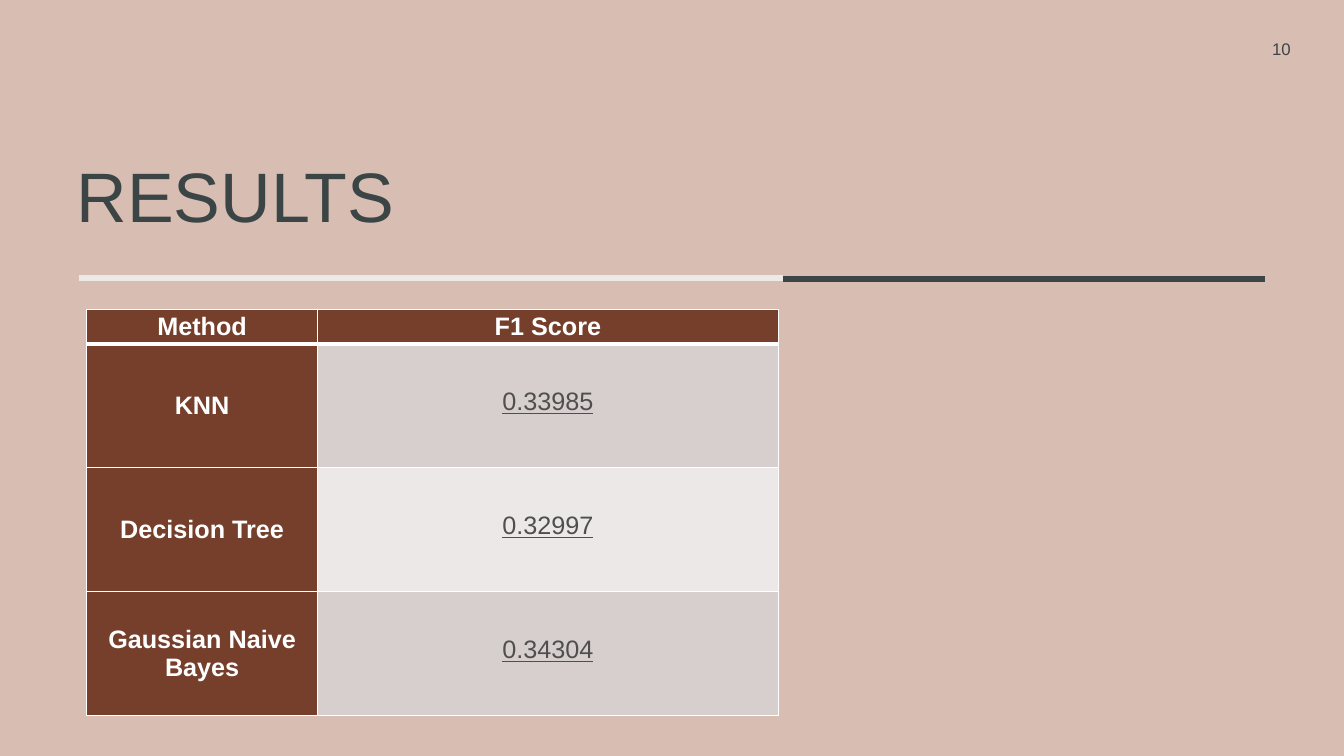
"""Build the results slide with a table of F1 scores by method."""
from lxml.etree import SubElement
from pptx import Presentation
from pptx.dml.color import RGBColor
from pptx.enum.shapes import MSO_CONNECTOR
from pptx.enum.text import MSO_ANCHOR, MSO_AUTO_SIZE, PP_ALIGN
from pptx.oxml.ns import qn
from pptx.util import Inches, Pt

TITLE = "RESULTS"
PAGE_NUMBER = "10"
HEADER = ("Method", "F1 Score")
SCORES = [
    ("KNN", "0.33985"),
    ("Decision Tree", "0.32997"),
    ("Gaussian Naive Bayes", "0.34304"),
]

ROSE = RGBColor(0xD8, 0xBE, 0xB2)
SLATE = RGBColor(0x3B, 0x45, 0x46)
IVORY = RGBColor(0xED, 0xE9, 0xE6)
BROWN = RGBColor(0x75, 0x3F, 0x2C)
WHITE = RGBColor(0xFF, 0xFF, 0xFF)
GRAY = RGBColor(0x4F, 0x4F, 0x4F)
BANDS = (RGBColor(0xD6, 0xCF, 0xCD), RGBColor(0xEC, 0xE8, 0xE8))

RULES = [(0.78, 7.77, 2.76, IVORY), (7.77, 12.55, 2.77, SLATE)]
COLUMN_WIDTHS = (2.29, 4.57)
HEADER_HEIGHT, ROW_HEIGHT = 0.34, 1.23

LABEL = {"size": Pt(18), "bold": True}
SCORE = {"size": Pt(18), "bold": False, "underline": True}
CELL = {
    "vertical_anchor": MSO_ANCHOR.MIDDLE,
    "margin_left": Inches(0.07),
    "margin_right": Inches(0.07),
    "margin_top": 0,
    "margin_bottom": 0,
}


def apply(target, values):
    for name, value in values.items():
        setattr(target, name, value)


def write(frame, text, color, font, paragraph):
    para = frame.paragraphs[0]
    apply(para, paragraph)
    span = para.add_run()
    span.text = text
    apply(span.font, {"name": "Arial", **font})
    span.font.color.rgb = color


def add_rule(page, left, right, top, color):
    rule = page.shapes.add_connector(
        MSO_CONNECTOR.STRAIGHT, Inches(left), Inches(top), Inches(right), Inches(top))
    rule.line.color.rgb = color
    rule.line.width = Pt(4.5)
    SubElement(rule._element.spPr, qn("a:effectLst"))


def add_borders(cell, widths):
    properties = cell._tc.get_or_add_tcPr()
    for side, width in widths.items():
        border = SubElement(properties, qn(f"a:ln{side}"), w=str(Pt(width)))
        fill = SubElement(border, qn("a:solidFill"))
        SubElement(fill, qn("a:srgbClr"), val=str(WHITE))


def add_scores(page):
    rows = [HEADER, *SCORES]
    height = HEADER_HEIGHT + ROW_HEIGHT * len(SCORES)
    table = page.shapes.add_table(
        len(rows), len(HEADER), Inches(0.86), Inches(3.07),
        Inches(sum(COLUMN_WIDTHS)), Inches(height)).table
    for column, width in zip(table.columns, COLUMN_WIDTHS):
        column.width = Inches(width)
    for row_index, texts in enumerate(rows):
        table.rows[row_index].height = Inches(ROW_HEIGHT if row_index else HEADER_HEIGHT)
        for column_index, text in enumerate(texts):
            cell = table.cell(row_index, column_index)
            is_score = row_index > 0 and column_index > 0
            apply(cell, CELL)
            add_borders(cell, {"L": 1, "R": 1, "T": 3 if row_index == 1 else 1,
                               "B": 1 if row_index else 3})
            cell.fill.solid()
            cell.fill.fore_color.rgb = BANDS[(row_index - 1) % 2] if is_score else BROWN
            paragraph = {"alignment": PP_ALIGN.CENTER}
            if is_score:
                paragraph["line_spacing"] = Pt(15)
            write(cell.text_frame, text, GRAY if is_score else WHITE,
                  SCORE if is_score else LABEL, paragraph)


deck = Presentation()
apply(deck, {"slide_width": Inches(13.33), "slide_height": Inches(7.5)})
page = deck.slides.add_slide(deck.slide_layouts[5])
page.background.fill.solid()
page.background.fill.fore_color.rgb = ROSE

for rule in RULES:
    add_rule(page, *rule)

title = page.shapes.title
apply(title, {"left": Inches(0.66), "top": Inches(1.6),
              "width": Inches(11.89), "height": Inches(0.77)})
apply(title.text_frame, {"vertical_anchor": MSO_ANCHOR.BOTTOM, "word_wrap": True,
                         "auto_size": MSO_AUTO_SIZE.NONE, "margin_bottom": Inches(0.03)})
write(title.text_frame, TITLE, SLATE, {"size": Pt(50)},
      {"alignment": PP_ALIGN.LEFT, "line_spacing": 0.8})

number = page.shapes.add_textbox(Inches(11.07), Inches(0.33), Inches(1.83), Inches(0.3))
apply(number.text_frame, {"vertical_anchor": MSO_ANCHOR.MIDDLE, "word_wrap": True})
write(number.text_frame, PAGE_NUMBER, SLATE, {"size": Pt(12)}, {"alignment": PP_ALIGN.RIGHT})

add_scores(page)
deck.save("out.pptx")
